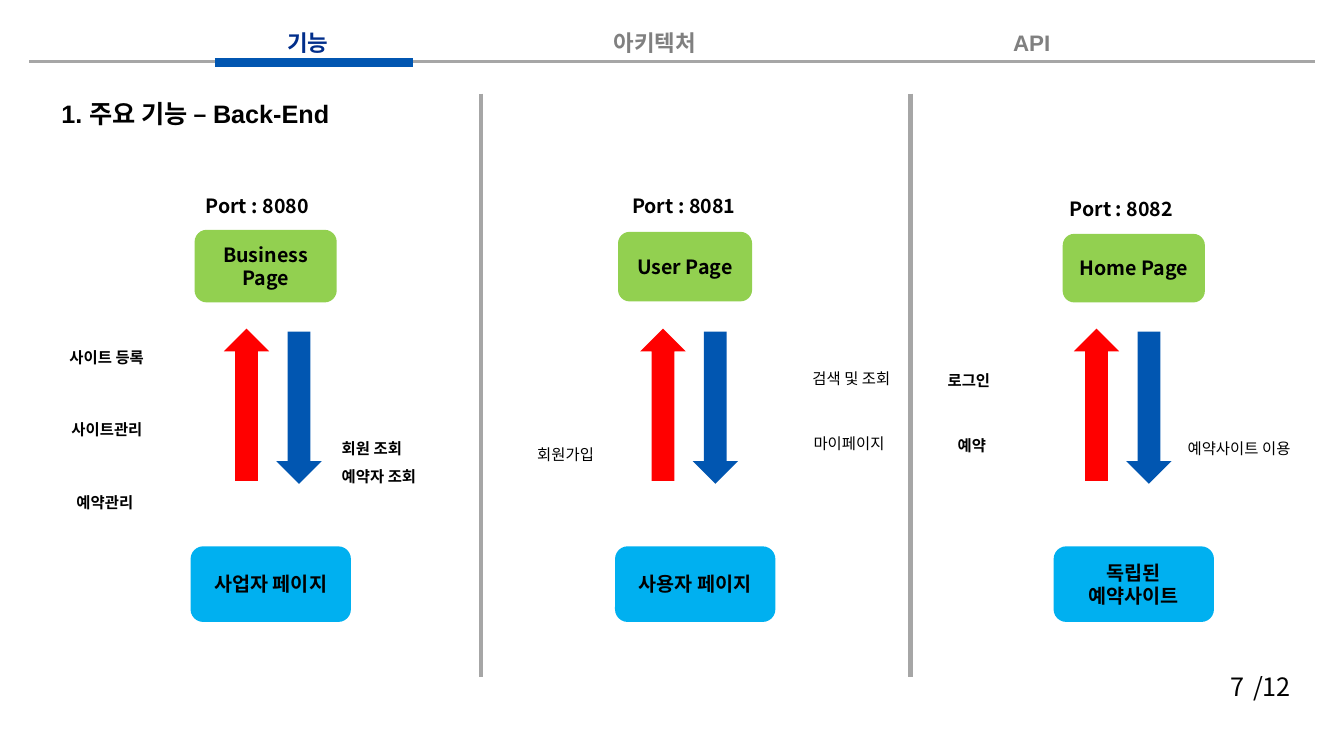
from lxml import etree
from pptx import Presentation
from pptx.dml.color import RGBColor
from pptx.enum.shapes import MSO_CONNECTOR, MSO_SHAPE
from pptx.enum.text import MSO_ANCHOR, MSO_AUTO_SIZE, PP_ALIGN
from pptx.oxml.ns import qn
from pptx.util import Inches, Pt

STRAIGHT = MSO_CONNECTOR.STRAIGHT
ROUNDED = MSO_SHAPE.ROUNDED_RECTANGLE
DOWN_ARROW = MSO_SHAPE.DOWN_ARROW
MIDDLE = MSO_ANCHOR.MIDDLE
CENTER = PP_ALIGN.CENTER
FIT_SHAPE = MSO_AUTO_SIZE.SHAPE_TO_FIT_TEXT

COLORS = {
    "black": "000000", "gray": "808080", "rule": "A6A6A6", "navy": "012E8B",
    "blue": "0156B1", "red": "FF0000", "green": "92D050", "sky": "00B0F0",
}
HEADING_FONT = "Arial"
BODY_FONT = "Noto Sans CJK KR"


class SlideBuilder:
    """Draws styled elements on the current slide."""

    def __init__(self, slide):
        self.slide = slide

    def color(self, name):
        return RGBColor.from_string(COLORS[name])

    def add_lines(self, frame, lines, size, bold=True, color="black",
                  font=BODY_FONT, align=None, spacing=None):
        frame.word_wrap = True
        for index, line in enumerate(lines):
            paragraph = frame.paragraphs[0] if index == 0 else frame.add_paragraph()
            paragraph.alignment = align
            paragraph.line_spacing = spacing
            run = paragraph.add_run()
            run.text = line
            run.font.size = Pt(size)
            run.font.bold = bold
            run.font.name = font
            run.font.color.rgb = self.color(color)
            east_asian = etree.SubElement(run.font._element, qn("a:ea"))
            east_asian.set("typeface", BODY_FONT)

    def text(self, lines, left, top, width, height, size, **style):
        box = self.slide.shapes.add_textbox(
            Inches(left), Inches(top), Inches(width), Inches(height))
        self.add_lines(box.text_frame, lines, size, **style)
        box.text_frame.auto_size = FIT_SHAPE

    def shape(self, kind, left, top, width, height, fill):
        shape = self.slide.shapes.add_shape(
            kind, Inches(left), Inches(top), Inches(width), Inches(height))
        shape.shadow.inherit = False
        shape.fill.solid()
        shape.fill.fore_color.rgb = self.color(fill)
        shape.line.fill.background()
        return shape

    def page_box(self, lines, left, top, width, height, fill):
        box = self.shape(ROUNDED, left, top, width, height, fill)
        box.text_frame.vertical_anchor = MIDDLE
        self.add_lines(box.text_frame, lines, 14, align=CENTER)

    def arrow_pair(self, left):
        self.shape(DOWN_ARROW, left + 0.52, 3.29, 0.45, 1.51, "blue")
        request = self.shape(DOWN_ARROW, left, 3.26, 0.45, 1.51, "red")
        request.rotation = 180

    def line(self, x1, y1, x2, y2, color, width):
        line = self.slide.shapes.add_connector(
            STRAIGHT, Inches(x1), Inches(y1), Inches(x2), Inches(y2))
        line.line.color.rgb = self.color(color)
        line.line.width = Pt(width)
        etree.SubElement(line._element.spPr, qn("a:effectLst"))


TABS = [
    ("기능", 2.75, 0.73, "navy"),
    ("아키텍처", 5.99, 1.13, "gray"),
    ("API", 9.95, 0.58, "gray"),
]
SERVERS = [
    ("Port : 8080", (1.94, 1.87), ["Business", "Page"], (1.93, 2.28, 1.41, 0.72),
     2.22, ["사업자 페이지"], 1.89),
    ("Port : 8081", (6.17, 1.87), ["User Page"], (6.13, 2.3, 1.33, 0.69),
     6.35, ["사용자 페이지"], 6.1),
    ("Port : 8082", (10.51, 1.9), ["Home Page"], (10.54, 2.32, 1.41, 0.68),
     10.65, ["독립된", "예약사이트"], 10.45),
]
FEATURES = [
    (["사이트 등록"], 0.59, 3.31, 1.45, 0.38, True),
    (["사이트관리"], 0.61, 4.03, 1.45, 0.38, True),
    (["예약관리"], 0.66, 4.75, 1.45, 0.34, True),
    (["회원 조회", "예약자 조회"], 3.29, 4.22, 1.49, 0.67, True),
    (["회원가입"], 5.23, 4.27, 0.86, 0.38, False),
    (["검색 및 조회"], 7.96, 3.52, 1.14, 0.38, False),
    (["마이페이지"], 7.97, 4.17, 0.98, 0.38, False),
    (["로그인"], 9.3, 3.54, 0.7, 0.38, True),
    (["예약"], 9.4, 4.19, 0.63, 0.38, True),
    (["예약사이트 이용"], 11.68, 4.22, 1.32, 0.38, False),
]


def main():
    deck = Presentation()
    deck.slide_width, deck.slide_height = Inches(13.33), Inches(7.5)
    builder = SlideBuilder(deck.slides.add_slide(deck.slide_layouts[6]))

    builder.text(["1. 주요 기능 – Back-End"], 0.51, 0.93, 3.78, 0.4, 18, font=HEADING_FONT)
    builder.line(0.29, 0.61, 13.04, 0.61, "rule", 2.25)
    builder.line(2.13, 0.62, 4.1, 0.62, "blue", 6)
    for label, left, width, color in TABS:
        builder.text([label], left, 0.24, width, 0.37, 16, color=color, font=HEADING_FONT)
    for divider in (4.77, 9.03):
        builder.line(divider, 0.93, divider, 6.72, "rule", 3)

    for port, port_at, server, server_at, arrows_left, site, site_left in SERVERS:
        builder.text([port], *port_at, 1.45, 0.35, 14)
        builder.page_box(server, *server_at, "green")
        builder.arrow_pair(arrows_left)
        builder.page_box(site, site_left, 5.42, 1.59, 0.75, "sky")

    for lines, left, top, width, height, bold in FEATURES:
        builder.text(lines, left, top, width, height, 11, bold=bold, spacing=1.5)

    builder.text(["7"], 12.11, 6.61, 0.4, 0.4, 18, bold=False)
    builder.text(["/12"], 12.33, 6.61, 0.6, 0.4, 18, bold=False)
    deck.save("out.pptx")


if __name__ == "__main__":
    main()
